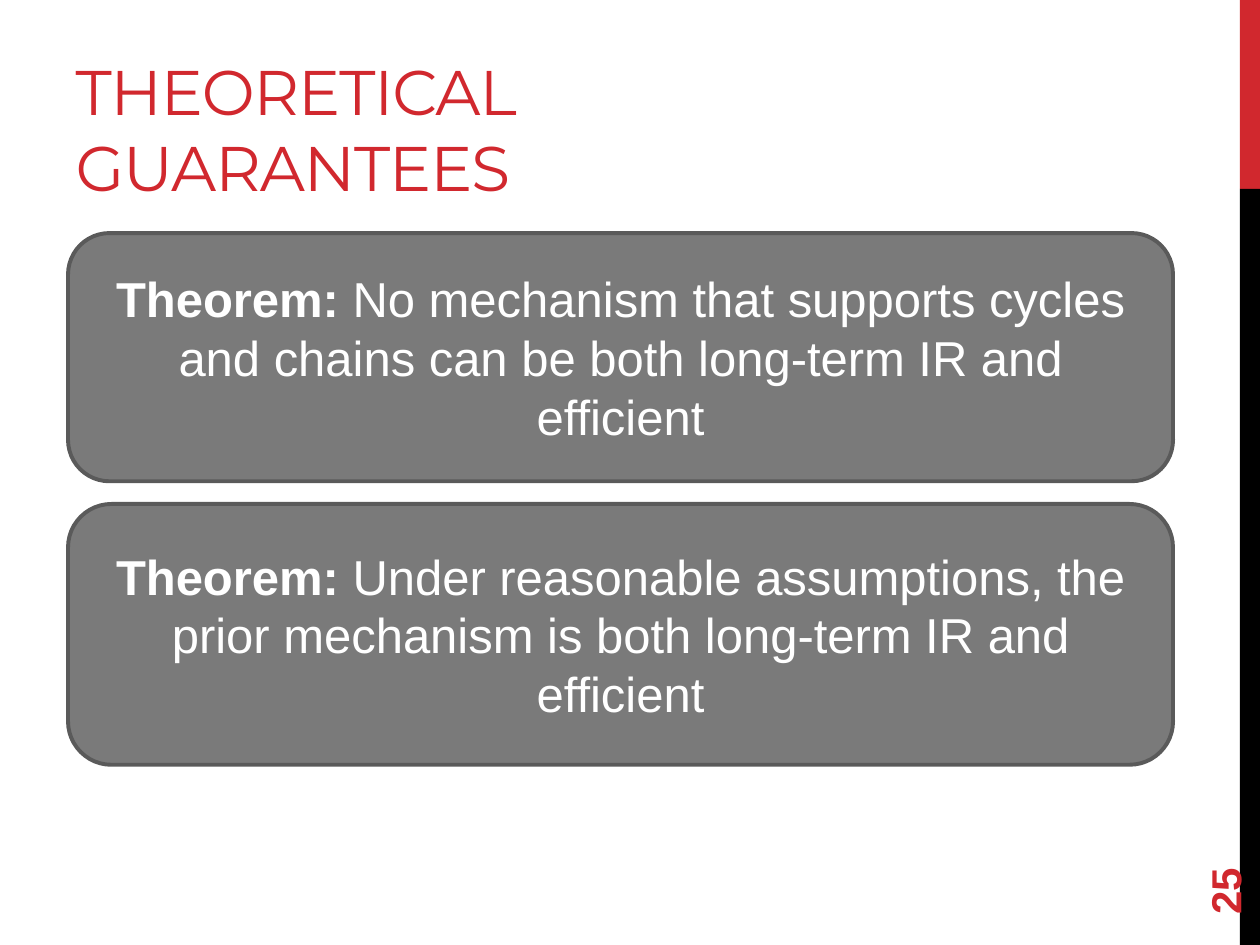
import pptx
import pptx.dml.color
import pptx.enum.shapes
import pptx.enum.text
import pptx.util

Inches = pptx.util.Inches
Pt = pptx.util.Pt
RGBColor = pptx.dml.color.RGBColor
Shape = pptx.enum.shapes.MSO_SHAPE
Anchor = pptx.enum.text.MSO_ANCHOR
Align = pptx.enum.text.PP_ALIGN

RED = RGBColor(0xD1, 0x28, 0x2E)
BLACK = RGBColor(0x00, 0x00, 0x00)
WHITE = RGBColor(0xFF, 0xFF, 0xFF)
GREY = RGBColor(0x7A, 0x7A, 0x7A)
DARK_GREY = RGBColor(0x5A, 0x5A, 0x5A)

deck = pptx.Presentation()
deck.slide_width = Inches(10)
deck.slide_height = Inches(7.5)
slide = deck.slides.add_slide(deck.slide_layouts[5])

for top, height, color in [(0, 1.5, RED), (1.5, 6, BLACK)]:
    band = slide.shapes.add_shape(
        Shape.RECTANGLE, Inches(9.84), Inches(top), Inches(0.16), Inches(height))
    band.shadow.inherit = False
    band.fill.solid()
    band.fill.fore_color.rgb = color
    band.line.fill.background()

title = slide.shapes.title
title.left, title.top = Inches(0.5), Inches(0.17)
title.width, title.height = Inches(6.33), Inches(1.5)
title.text_frame.word_wrap = True
title.text_frame.vertical_anchor = Anchor.BOTTOM
para = title.text_frame.paragraphs[0]
para.alignment = Align.LEFT
para.font.name = "Montserrat"
para.font.size = Pt(36)
para.font.color.rgb = RED
span = para.add_run()
span.text = "THEORETICAL GUARANTEES"
span._r.get_or_add_rPr().set("spc", "-60")

theorems = [
    (1.85, 1.97, " No mechanism that supports cycles and chains can be both "
                 "long-term IR and efficient"),
    (4, 2.07, " Under reasonable assumptions, the prior mechanism is both "
              "long-term IR and efficient"),
]
for top, height, statement in theorems:
    box = slide.shapes.add_shape(
        Shape.ROUNDED_RECTANGLE, Inches(0.54), Inches(top), Inches(8.77), Inches(height))
    box.shadow.inherit = False
    box.fill.solid()
    box.fill.fore_color.rgb = GREY
    box.line.color.rgb = DARK_GREY
    box.line.width = Pt(2.25)
    box.text_frame.word_wrap = True
    box.text_frame.vertical_anchor = Anchor.MIDDLE
    para = box.text_frame.paragraphs[0]
    para.alignment = Align.CENTER
    para.font.name = "Arial"
    para.font.size = Pt(28)
    para.font.color.rgb = WHITE
    for text, bold in [("Theorem:", True), (statement, False)]:
        span = para.add_run()
        span.text = text
        span.font.bold = bold

number = slide.shapes.add_textbox(Inches(9), Inches(6.44), Inches(1.44), Inches(0.4))
number.rotation = 270
number.text_frame.word_wrap = True
number.text_frame.vertical_anchor = Anchor.MIDDLE
para = number.text_frame.paragraphs[0]
para.text = "25"
para.font.name = "Arial"
para.font.size = Pt(24)
para.font.bold = True
para.font.color.rgb = RED

deck.save("out.pptx")
